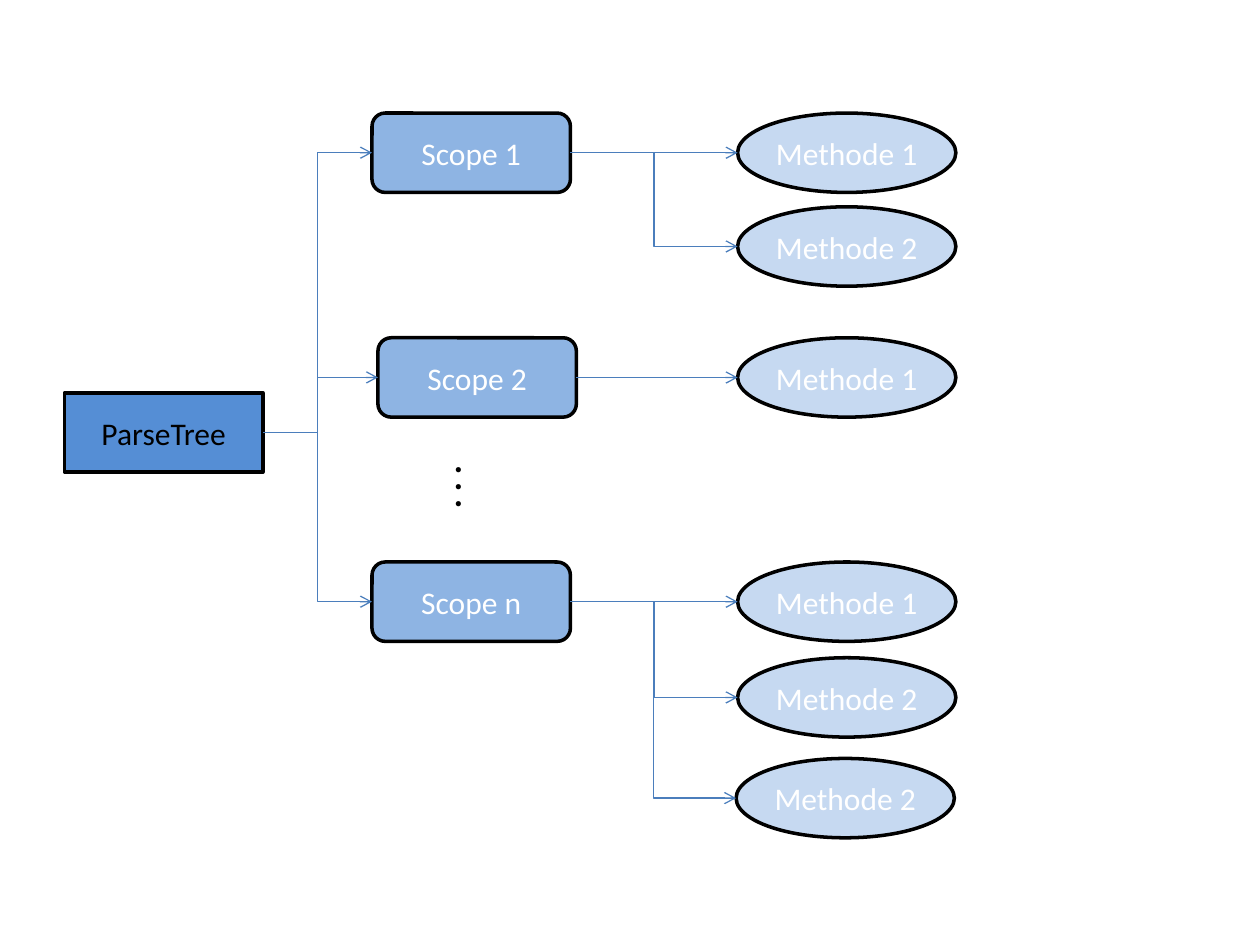
import pptx
import pptx.util
import pptx.dml.color
import pptx.enum.shapes
import pptx.enum.text
import pptx.oxml
import pptx.oxml.ns
from lxml import etree

Cm, Pt = pptx.util.Cm, pptx.util.Pt
SHAPES = pptx.enum.shapes.MSO_SHAPE
CONNECTORS = pptx.enum.shapes.MSO_CONNECTOR

# Content: positions in centimetres
COLORS = {"root": "558ED5", "scope": "8EB4E3", "method": "C6D9F1",
          "outline": "000000", "arrow": "4B7EBC", "dark": "000000", "light": "FFFFFF"}
FONT = "Calibri"
ROOT = ("ParseTree", 1.3, 7.92)
METHOD_LEFT = 14.87
SCOPES = [
    # name, left, top, methods as (name, left, top)
    ("Scope 1", 7.5, 2.28, [("Methode 1", METHOD_LEFT, 2.28),
                            ("Methode 2", METHOD_LEFT, 4.17)]),
    ("Scope 2", 7.62, 6.81, [("Methode 1", METHOD_LEFT, 6.81)]),
    ("Scope n", 7.5, 11.33, [("Methode 1", METHOD_LEFT, 11.33),
                             ("Methode 2", METHOD_LEFT, 13.26),
                             ("Methode 2", 14.84, 15.29)]),
]
# kind: preset, width, text colour, inset, left and right connection sites
KINDS = {
    "root": (SHAPES.RECTANGLE, 4, "dark", 0.25, 1, 3),
    "scope": (SHAPES.ROUNDED_RECTANGLE, 4, "light", 0.25, 1, 3),
    "method": (SHAPES.OVAL, 4.4, "light", 0.1, 2, 6),
}
NODE_HEIGHT = 1.6
TRUNK = 1.1  # distance from the root to the vertical line


def rgb(name):
    return pptx.dml.color.RGBColor.from_string(COLORS[name])


def add_run(paragraph, text, size, color, bold=False):
    run = paragraph.add_run()
    run.text = text
    run.font.name, run.font.size, run.font.bold = FONT, Pt(size), bold
    run.font.color.rgb = rgb(color)


def add_node(kind, text, left, top):
    preset, width, color, inset, _, _ = KINDS[kind]
    shape = slide.shapes.add_shape(preset, Cm(left), Cm(top), Cm(width), Cm(NODE_HEIGHT))
    shape.shadow.inherit = False
    shape.fill.solid()
    shape.fill.fore_color.rgb = rgb(kind)
    shape.line.color.rgb = rgb("outline")
    shape.line.width = Pt(2)
    frame = shape.text_frame
    frame.margin_left = frame.margin_right = Cm(inset)
    frame.margin_top = frame.margin_bottom = Cm(min(inset, 0.13))
    frame.vertical_anchor = pptx.enum.text.MSO_ANCHOR.MIDDLE
    paragraph = frame.paragraphs[0]
    paragraph.alignment = pptx.enum.text.PP_ALIGN.CENTER
    add_run(paragraph, text, 18, color)
    return shape


def add_arrow(source, source_kind, target, target_kind, bend=None):
    level = source.top == target.top
    connector = slide.shapes.add_connector(
        CONNECTORS.STRAIGHT if level else CONNECTORS.ELBOW, 0, 0, 0, 0)
    connector.begin_connect(source, KINDS[source_kind][5])
    connector.end_connect(target, KINDS[target_kind][4])
    # Connecting assumes four sites per shape; ellipses have eight, so set the ends
    connector.begin_x = source.left + source.width
    connector.begin_y = source.top + source.height // 2
    connector.end_x = target.left
    connector.end_y = target.top + target.height // 2
    connector.line.color.rgb = rgb("arrow")
    connector.line.width = Pt(0.75)
    properties = connector._element.spPr
    line = connector.line._get_or_add_ln()
    etree.SubElement(line, pptx.oxml.ns.qn("a:tailEnd"), type="arrow")
    etree.SubElement(properties, pptx.oxml.ns.qn("a:effectLst"))
    if bend is not None:
        share = round(100000 * Cm(bend) / connector.width)
        guides = properties.find(pptx.oxml.ns.qn("a:prstGeom")).get_or_add_avLst()
        etree.SubElement(guides, pptx.oxml.ns.qn("a:gd"), name="adj1", fmla=f"val {share}")


# Slide
presentation = pptx.Presentation()
presentation.slide_width, presentation.slide_height = Cm(25.4), Cm(19.05)
slide = presentation.slides.add_slide(presentation.slide_layouts[6])

# Tree: root, scopes and their methods
root = add_node("root", *ROOT)
for name, left, top, methods in SCOPES:
    scope = add_node("scope", name, left, top)
    add_arrow(root, "root", scope, "scope", TRUNK)
    for method in methods:
        add_arrow(scope, "scope", add_node("method", *method), "method")

# Vertical dots between the scopes
dots = slide.shapes.add_textbox(Cm(7.27), Cm(10.77), Cm(4.4), Cm(1.11))
dots.rotation = 90
dots.text_frame.word_wrap = True
add_run(dots.text_frame.paragraphs[0], ". . .", 20, "dark", bold=True)

presentation.save("out.pptx")
